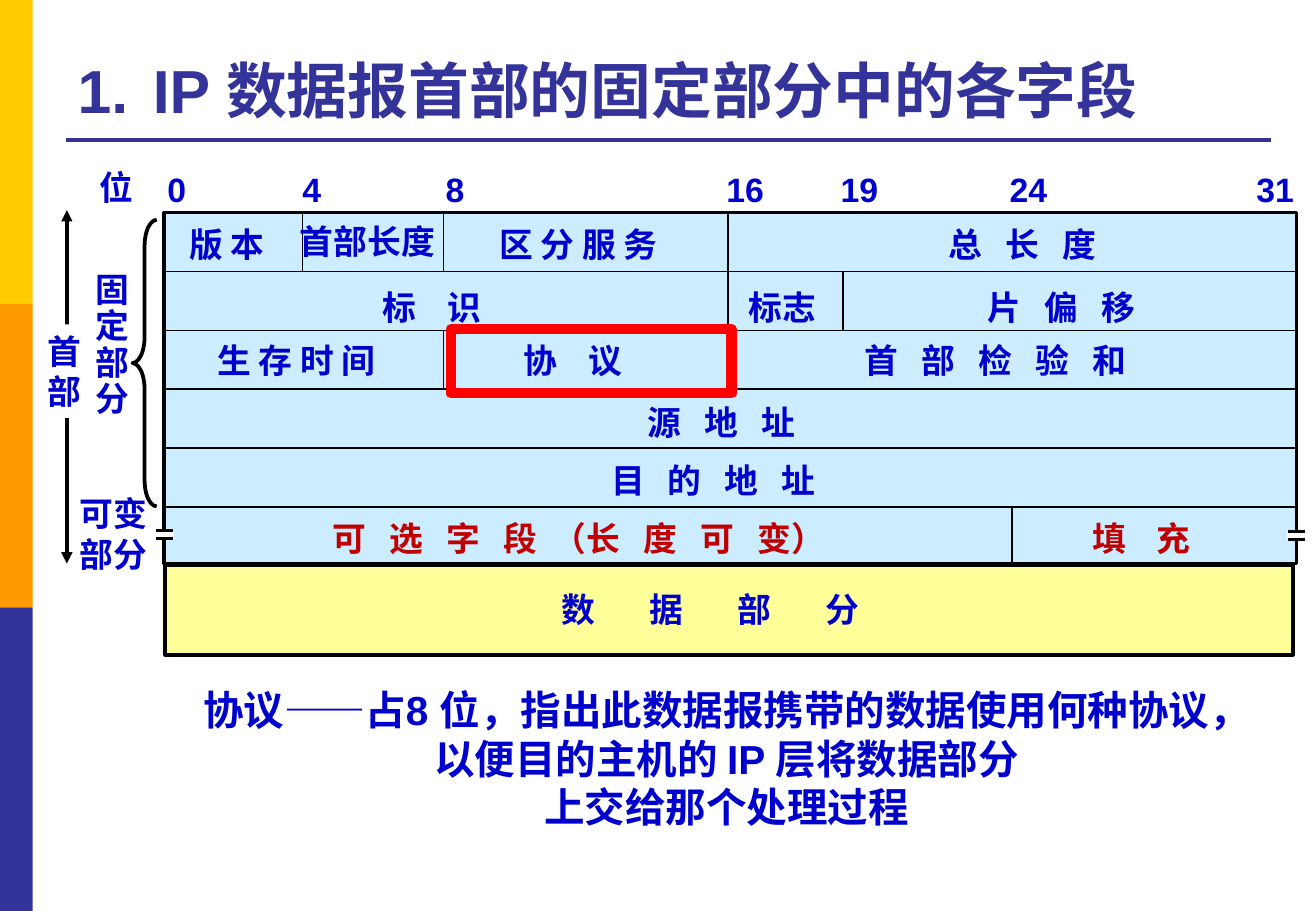
import pptx
import pptx.util
import pptx.dml.color
import pptx.enum.shapes
import pptx.enum.text
import pptx.oxml.ns
import lxml.etree
from dataclasses import dataclass

# All places and sizes are cells of a 1083 x 750 slide grid.
COLS, ROWS = 1083, 750
CELL = pptx.util.Inches(0.01)


@dataclass(frozen=True)
class Theme:
    font: str = "Arial"
    navy: str = "333399"
    blue: str = "0000CC"
    dark: str = "C00000"
    red: str = "FF0000"
    black: str = "000000"
    white: str = "FFFFFF"
    sky: str = "CCECFF"
    cream: str = "FFFF99"
    title: int = 36
    body: int = 24
    label: int = 20
    space: float = 4.6


T = Theme()

# A run is (text, gap): each space in it is drawn as wide as "gap" spaces.
TITLE = [("1.", 1), (" ", 3), ("IP 数据报首部的固定部分中的各字段", 1)]
BODY = ["协议——占8 位，指出此数据报携带的数据使用何种协议，",
        "以便目的主机的 IP 层将数据部分",
        "上交给那个处理过程"]
BANDS = ["FFCC00", "FF9900", T.navy]

# Header grid: six rows of equal pitch, and the column of each bit border
LEFT, TOP, WIDE, HIGH = 135, 175, 932, 289
PITCH = 48.5
EDGE = {4: 249, 8: 365, 16: 599, 19: 694, 24: 833}
BORDERS = [(4, 0, 1), (8, 0, 1), (8, 2, 3), (16, 0, 3), (19, 1, 2), (24, 5, 6)]
TICKS = [("0", 128, 36), ("4", 239, 36), ("8", 357, 36), ("16", 588, 51),
         ("19", 682, 51), ("24", 821, 51), ("31", 1024, 51)]

# (top of the labels, colour, [(left, width, runs)])
FIELDS = [
    (179, T.blue, [(146, 84, [("版 本", 1)]), (401, 156, [("区 分 服 务", 1)]),
                   (771, 151, [("总 长 度", 3)])]),
    (177, T.blue, [(237, 132, [("首部长度", 1)])]),
    (231, T.blue, [(305, 107, [("标 识", 4)]), (606, 76, [("标志", 1)]),
                   (803, 151, [("片 偏 移", 3)])]),
    (275, T.blue, [(169, 156, [("生 存 时 间", 1)]), (421, 107, [("协 议", 4)]),
                   (702, 254, [("首 部 检 验 和", 3)])]),
    (326, T.blue, [(523, 151, [("源 地 址", 3)])]),
    (374, T.blue, [(493, 202, [("目 的 地 址", 3)])]),
    (421, T.dark, [(264, 456, [("可 选 字 ", 3), ("段 ", 2), ("（", 1),
                               ("长 度 可 ", 3), ("变）", 1)]),
                   (889, 107, [("填 充", 4)])]),
    (480, T.blue, [(452, 345, [("数 据 部 分", 7)])]),
]
BREAKS = [(127, 437), (1059, 437.5)]

deck = pptx.Presentation()
deck.slide_width, deck.slide_height = COLS * CELL, ROWS * CELL
slide = deck.slides.add_slide(deck.slide_layouts[6])
KIND = pptx.enum.shapes.MSO_SHAPE
FIT = pptx.enum.text.MSO_AUTO_SIZE
ANCHOR = pptx.enum.text.MSO_ANCHOR
ALIGN = pptx.enum.text.PP_ALIGN


def grid(*cells):
    return [round(c * CELL) for c in cells]


def color(code):
    return pptx.dml.color.RGBColor.from_string(code)


def shape(x, y, w, h, fill=None, line=None, width=1, kind=KIND.RECTANGLE):
    new = slide.shapes.add_shape(kind, *grid(x, y, w, h))
    new.shadow.inherit = False
    if fill:
        new.fill.solid()
        new.fill.fore_color.rgb = color(fill)
    else:
        new.fill.background()
    if line:
        new.line.color.rgb = color(line)
        new.line.width = pptx.util.Pt(width)
    else:
        new.line.fill.background()
    return new


def line(x1, y1, x2, y2, width=1, ink=T.black, heads=False):
    new = slide.shapes.add_connector(
        pptx.enum.shapes.MSO_CONNECTOR.STRAIGHT, *grid(x1, y1, x2, y2))
    new.line.color.rgb = color(ink)
    new.line.width = pptx.util.Pt(width)
    qn = pptx.oxml.ns.qn
    props = new._element.spPr
    if heads:
        for end in ("a:headEnd", "a:tailEnd"):
            lxml.etree.SubElement(props.find(qn("a:ln")), qn(end),
                                  type="triangle")
    lxml.etree.SubElement(props, qn("a:effectLst"))


def write(new, paras, size=T.label, ink=T.blue, wrap=False, fit=True,
          align=ALIGN.LEFT, anchor=ANCHOR.TOP, lead=None):
    """Fill a shape with paragraphs, each a list of (text, gap) runs."""
    frame = new.text_frame
    frame.word_wrap = wrap
    frame.auto_size = FIT.SHAPE_TO_FIT_TEXT if fit else FIT.NONE
    frame.vertical_anchor = anchor
    for i, runs in enumerate(paras):
        para = frame.add_paragraph() if i else frame.paragraphs[0]
        para.alignment = align
        if lead:
            para.line_spacing = lead
        for text, gap in runs:
            run = para.add_run()
            run.text = text
            font = run.font
            font.name, font.bold = T.font, True
            font.size = pptx.util.Pt(size)
            font.color.rgb = color(ink)
            if gap > 1:
                # Shared by the letter before the space and the space itself
                extra = (gap - 1) * T.space / 2
                run._r.get_or_add_rPr().set("spc", str(round(extra * 100)))


def label(x, y, w, h, paras, **style):
    write(slide.shapes.add_textbox(*grid(x, y, w, h)), paras, **style)


def stack(words):
    return [[(word, 1)] for word in words]


def row(n):
    return TOP + n * PITCH


# Side bands and title
for i, band in enumerate(BANDS):
    shape(0, i * ROWS / 3, 27, ROWS / 3, band)
line(54, 115, 1046, 115, 2.25, T.navy)
label(54, 21, 991, 87, [TITLE], size=T.title, ink=T.navy, wrap=True,
      fit=False, anchor=ANCHOR.BOTTOM)

# Header and data
shape(LEFT, TOP, WIDE, HIGH, T.sky, T.black, 2)
shape(136, 465, 928, 74, T.cream, T.black, 2.25)
for n in range(1, 6):
    line(LEFT - 1, row(n), LEFT + WIDE + 1, row(n))
for bit, first, last in BORDERS:
    line(EDGE[bit], row(first), EDGE[bit], row(last))
for text, x, w in TICKS:
    label(x, 134, w, 44, [[(text, 1)]])
for y, ink, items in FIELDS:
    for x, w, runs in items:
        label(x, y, w, 44, [runs], ink=ink)

# Break marks on both sides of the optional row
for x, y in BREAKS:
    shape(x, y - 0.5, 16, 7.5, T.white)
    for dy in (0, 6.5):
        line(x + 1, y + dy, x + 15, y + dy, 2)

# Labels on the left
label(72, 132, 48, 44, stack("位"))
label(69, 220, 48, 131, stack("固定部分"), lead=0.9)
label(56, 401, 76, 77, stack(["可变", "部分"]))
line(55, 173, 55, 464, 2.25, heads=True)
write(shape(29, 267, 48, 77, T.white), stack("首部"))
brace = shape(109, 181, 20, 236, None, T.black, 2.25, KIND.LEFT_BRACE)
brace.adjustments[0], brace.adjustments[1] = 1.08, 0.5

# Protocol field and its meaning
label(146, 559, 904, 131, stack(BODY), size=T.body, wrap=True,
      align=ALIGN.CENTER)
shape(371, 271, 231, 53, None, T.red, 6)

deck.save("out.pptx")
